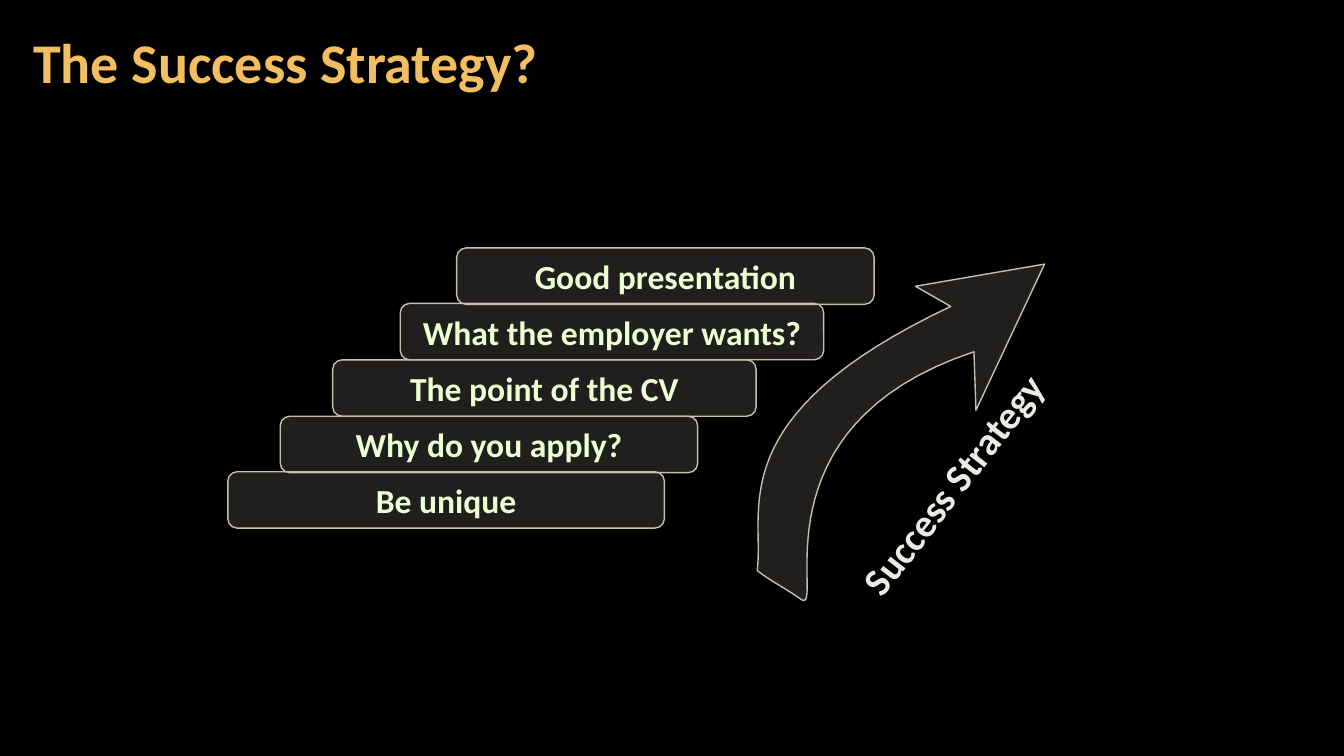
from lxml.etree import SubElement
from pptx import Presentation
from pptx.dml.color import RGBColor
from pptx.enum.shapes import MSO_SHAPE
from pptx.enum.text import MSO_ANCHOR, MSO_AUTO_SIZE, PP_ALIGN
from pptx.oxml.ns import qn
from pptx.util import Inches, Pt

FONT = "Calibri"
PANEL, OUTLINE = "D9D5C7", "C7BFAC"
STEP_HEIGHT = 0.56

# Text, left, top, width, from the top step down
STEPS = [
    ("Good presentation", 4.53, 2.46, 4.14),
    ("What the employer wants?", 3.97, 3.01, 4.2),
    ("The point of the CV", 3.3, 3.57, 4.2),
    ("Why do you apply?", 2.78, 4.13, 4.14),
    ("Be unique", 2.26, 4.68, 4.33),
]

# Each segment is one point (line) or three points (Bezier curve)
ARROW_START = (7.51, 5.66)
ARROW = [
    [(7.59, 5.07), (7.12, 4.13), (9.43, 3.04)],
    [(9.08, 2.84)],
    [(10.36, 2.62)],
    [(9.68, 4.07)],
    [(9.66, 3.49)],
    [(7.43, 4.23), (8.19, 6.08), (7.95, 5.95)],
    [(7.8, 5.84), (7.65, 5.77), (7.51, 5.66)],
]


def color(value):
    return RGBColor.from_string(value)


def style_panel(sp):
    """Translucent fill with a thin outline."""
    sp.shadow.inherit = False
    sp.fill.solid()
    sp.fill.fore_color.rgb = color(PANEL)
    fill = sp.fill._xPr.find(qn("a:solidFill"))
    SubElement(fill[0], qn("a:alpha"), val="15000")
    sp.line.color.rgb = color(OUTLINE)
    sp.line.width = Pt(1)


def write(sp, text, size, text_color, align):
    tf = sp.text_frame
    tf.word_wrap = True
    tf.vertical_anchor = MSO_ANCHOR.MIDDLE
    p = tf.paragraphs[0]
    p.text = text
    p.alignment = align
    p.font.name = FONT
    p.font.size = Pt(size)
    p.font.bold = True
    p.font.color.rgb = color(text_color)
    return tf


def add_text(s, text, box, size, text_color, align=PP_ALIGN.LEFT, rotation=0):
    sp = s.shapes.add_textbox(*map(Inches, box))
    sp.rotation = rotation
    return write(sp, text, size, text_color, align)


def add_step(s, text, left, top, width):
    box = map(Inches, (left, top, width, STEP_HEIGHT))
    sp = s.shapes.add_shape(MSO_SHAPE.ROUNDED_RECTANGLE, *box)
    style_panel(sp)
    tf = write(sp, text, 24, "EBFFD2", PP_ALIGN.CENTER)
    tf.auto_size = MSO_AUTO_SIZE.SHAPE_TO_FIT_TEXT


def bezier(a, b, c, d, count=32):
    """Points along a cubic curve, without its start."""
    for i in range(1, count + 1):
        t = i / count
        u = 1 - t
        weights = (u**3, 3 * u * u * t, 3 * u * t * t, t**3)
        yield tuple(sum(w * q[k] for w, q in zip(weights, (a, b, c, d)))
                    for k in (0, 1))


def add_arrow(s):
    points = [ARROW_START]
    for segment in ARROW:
        points += bezier(points[-1], *segment) if len(segment) == 3 else segment
    (x, y), *rest = [(Inches(px), Inches(py)) for px, py in points]
    builder = s.shapes.build_freeform(x, y)
    builder.add_line_segments(rest, close=True)
    style_panel(builder.convert_to_shape())


def main():
    prs = Presentation()
    prs.slide_width, prs.slide_height = Inches(13.33), Inches(7.5)
    s = prs.slides.add_slide(prs.slide_layouts[6])
    s.background.fill.solid()
    s.background.fill.fore_color.rgb = color("000000")

    # Title
    tf = add_text(s, "The Success Strategy?", (0.21, 0.04, 10.47, 1.21), 40, "F3BE60")
    tf.margin_left = tf.margin_right = Inches(0.12)
    tf.paragraphs[0].line_spacing = 0.9

    # Staircase
    for step in STEPS:
        add_step(s, *step)

    # Rising arrow and its label
    add_arrow(s)
    add_text(s, "Success Strategy", (7.58, 4.56, 3.73, 0.48), 28, "ECEAE3",
             PP_ALIGN.CENTER, 308)

    prs.save("out.pptx")


if __name__ == "__main__":
    main()
